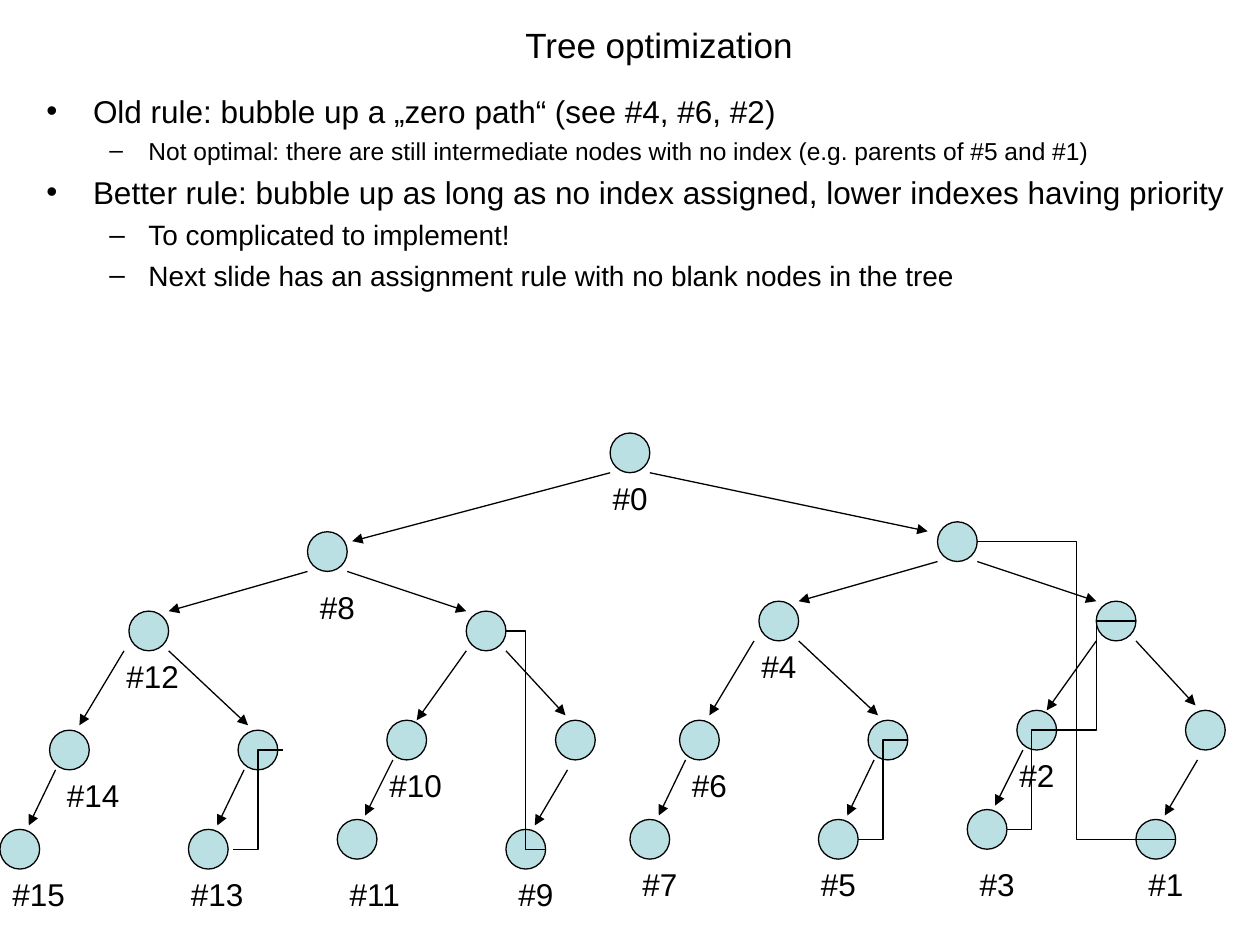
from lxml import etree
from pptx import Presentation
from pptx import util as u
from pptx.dml.color import RGBColor
from pptx.enum import shapes, text
from pptx.oxml.ns import qn

BLACK = RGBColor(0x00, 0x00, 0x00)
NODE_BLUE = RGBColor(0xBB, 0xE0, 0xE3)
FONT = "Arial"

WIDTH, HEIGHT = u.Inches(10), u.Inches(7.5)
CELL = WIDTH / 127
NODE_SIZE = 4
LABEL_WIDTH, LABEL_HEIGHT = 8, 5

RIGHT_ROOT = (94.5, 52.6)
LEFT_ROOT = (31, 53.6)
TOP_ROOT = (61.5, 43.65)

NODES = [(0, 0), (16, 8), (-18, 8), (25, 19), (8, 19), (-7, 20), (-26, 20),
         (20, 30), (3, 29), (-12, 30), (-31, 30)]
EDGES = [((4, 4), (16, 8)), ((0, 4), (-14, 8)),
         ((20, 12), (26, 18.5)), ((16, 12), (11, 19)),
         ((-14, 12), (-6, 19.5)), ((-18.5, 12), (-23, 19.5)),
         ((26.2, 24), (22.9, 29.6)), ((8.6, 23), (5.8, 28.6)),
         ((-6.4, 24), (-9.1, 29.6)), ((-25.4, 24), (-28.1, 29.6))]
TOP_EDGES = [((4, 4), (32, 9.9)), ((0, 4), (-26, 10.9))]
RIGHT_LABELS = [(20, 34), (7, 23), (3, 34), (-19, 12), (-13, 34), (-26, 24), (-31, 34)]
LEFT_LABELS = [(20, 34), (7, 23), (3, 34), (-19.5, 12), (-13, 34), (-25.5, 24), (-31, 34)]
RIGHT_ELBOWS = [((24, 32), (4, 2)), ((-8, 32), (-3, 22)),
                ((12, 21), (20, 10)), ((7, 31), (12, 21))]
LEFT_ELBOWS = [((24, 32), (20, 10)), ((-7.5, 32), (-2.5, 22))]

RULES = [
    (0, 18, 4.5, "Old rule: bubble up a „zero path“ (see #4, #6, #2)"),
    (1, 14, 3.5, "Not optimal: there are still intermediate nodes with no index "
                 "(e.g. parents of #5 and #1)"),
    (0, 18, 4.5, "Better rule: bubble up as long as no index assigned, "
                 "lower indexes having priority"),
    (1, 16, 4, "To complicated to implement!"),
    (1, 16, 4, "Next slide has an assignment rule with no blank nodes in the tree"),
]
BULLETS = [("•", 0.37, -0.37), ("–", 0.81, -0.31)]


def place(root, point):
    return [round((start + step) * CELL) for start, step in zip(root, point)]


def write(paragraph, content, size=18, align=text.PP_ALIGN.LEFT):
    paragraph.alignment = align
    run = paragraph.add_run()
    run.text = content
    run.font.name = FONT
    run.font.size = u.Pt(size)
    run.font.color.rgb = BLACK


def add_frame(slide, left, top, width, height, wrap=True):
    frame = slide.shapes.add_textbox(left, top, width, height).text_frame
    frame.word_wrap = wrap
    return frame


def add_node(slide, root, point):
    size = round(NODE_SIZE * CELL)
    node = slide.shapes.add_shape(shapes.MSO_SHAPE.OVAL, *place(root, point), size, size)
    node.shadow.inherit = False
    node.fill.solid()
    node.fill.fore_color.rgb = NODE_BLUE
    node.line.color.rgb = BLACK
    node.line.width = u.Pt(0.75)


def add_link(slide, root, begin, end, kind=shapes.MSO_CONNECTOR.STRAIGHT):
    link = slide.shapes.add_connector(kind, *place(root, begin), *place(root, end))
    link.line.color.rgb = BLACK
    link.line.width = u.Pt(0.75)
    properties = link._element.spPr
    if kind == shapes.MSO_CONNECTOR.STRAIGHT:
        etree.SubElement(properties.find(qn("a:ln")), qn("a:tailEnd"), type="triangle")
    etree.SubElement(properties, qn("a:effectLst"))


def add_label(slide, root, point, number):
    frame = add_frame(slide, *place(root, point), round(LABEL_WIDTH * CELL),
                      round(LABEL_HEIGHT * CELL), wrap=False)
    write(frame.paragraphs[0], f"#{number}")


def add_bullet(paragraph, level):
    character, margin, indent = BULLETS[level]
    properties = paragraph._p.get_or_add_pPr()
    properties.set("marL", str(u.Inches(margin)))
    properties.set("indent", str(u.Inches(indent)))
    color = etree.SubElement(properties, qn("a:buClr"))
    etree.SubElement(color, qn("a:srgbClr"), val=str(BLACK))
    etree.SubElement(properties, qn("a:buFont"), typeface=FONT)
    etree.SubElement(properties, qn("a:buChar"), char=character)


def add_title(slide):
    frame = add_frame(slide, u.Inches(3.5), u.Inches(-0.26), u.Inches(3.54), u.Inches(1.23))
    frame.vertical_anchor = text.MSO_ANCHOR.MIDDLE
    write(frame.paragraphs[0], "Tree optimization ", size=20, align=text.PP_ALIGN.CENTER)


def add_rules(slide):
    frame = add_frame(slide, u.Inches(0.27), u.Inches(0.68), u.Inches(9.73), u.Inches(1.34))
    for index, (level, size, space, content) in enumerate(RULES):
        paragraph = frame.add_paragraph() if index else frame.paragraphs[0]
        paragraph.level = level
        paragraph.space_before = u.Pt(space)
        write(paragraph, content, size=size)
        add_bullet(paragraph, level)


def add_tree(slide, root, nodes, edges, labels, first_number):
    for point in nodes:
        add_node(slide, root, point)
    for begin, end in edges:
        add_link(slide, root, begin, end)
    for number, point in enumerate(labels, first_number):
        add_label(slide, root, point, number)


def main():
    presentation = Presentation()
    presentation.slide_width, presentation.slide_height = WIDTH, HEIGHT
    slide = presentation.slides.add_slide(presentation.slide_layouts[6])
    add_tree(slide, RIGHT_ROOT, NODES, EDGES, RIGHT_LABELS, 1)
    add_title(slide)
    add_tree(slide, LEFT_ROOT, NODES, EDGES, [(0, 5)] + LEFT_LABELS, 8)
    add_tree(slide, TOP_ROOT, [(0, 0)], TOP_EDGES, [(-1, 4)], 0)
    add_rules(slide)
    for root, elbows in ((RIGHT_ROOT, RIGHT_ELBOWS), (LEFT_ROOT, LEFT_ELBOWS)):
        for begin, end in elbows:
            add_link(slide, root, begin, end, kind=shapes.MSO_CONNECTOR.ELBOW)
    presentation.save("out.pptx")


if __name__ == "__main__":
    main()
